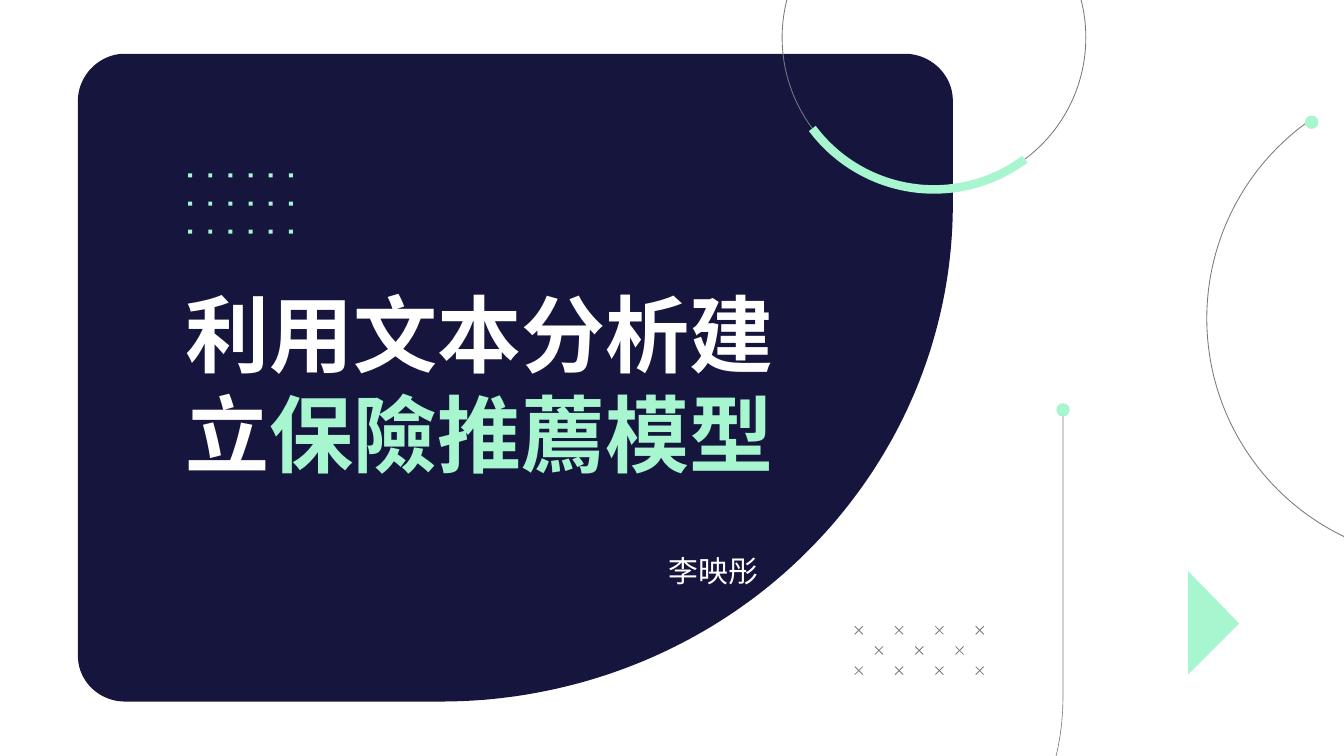
from itertools import product
from math import atan2, degrees

from lxml.etree import SubElement
from pptx import Presentation
from pptx.dml.color import RGBColor
from pptx.enum.shapes import MSO_CONNECTOR, MSO_SHAPE
from pptx.enum.text import MSO_ANCHOR, PP_ALIGN
from pptx.oxml.ns import qn
from pptx.util import Inches, Pt

COLORS = {"navy": "15153E", "mint": "A7F6CF", "gray": "7A7A7A", "white": "FFFFFF"}
FONT = "Noto Sans CJK SC"
HAIR = 0.44


def rgb(name):
    return RGBColor.from_string(COLORS[name])


def paint(sp, fill=None, line=None, width=HAIR):
    """Give a shape a plain fill or none, and a plain line or none."""
    sp.shadow.inherit = False
    if fill:
        sp.fill.solid()
        sp.fill.fore_color.rgb = rgb(fill)
    else:
        sp.fill.background()
    if line:
        sp.line.color.rgb = rgb(line)
        sp.line.width = Pt(width)
    else:
        sp.line.fill.background()


def curve(p0, p1, p2, p3, steps=48):
    """Points along a cubic curve, both ends included."""
    points = []
    for i in range(steps + 1):
        t = i / steps
        u = 1 - t
        points.append(tuple(
            u**3 * a + 3 * u * u * t * b + 3 * u * t * t * c + t**3 * d
            for a, b, c, d in zip(p0, p1, p2, p3)))
    return points


def add_outline(s, points, close=True, **style):
    emu = [(Inches(x), Inches(y)) for x, y in points]
    fb = s.shapes.build_freeform(*emu[0])
    fb.add_line_segments(emu[1:], close=close)
    paint(fb.convert_to_shape(), **style)


def add_preset(s, kind, x, y, w, h, **style):
    sp = s.shapes.add_shape(kind, Inches(x), Inches(y), Inches(w), Inches(h))
    paint(sp, **style)
    return sp


def add_dot(s, cx, cy, d=0.1):
    add_preset(s, MSO_SHAPE.OVAL, cx - d / 2, cy - d / 2, d, d, fill="mint")


def add_arc(s, center, r, start, end, **style):
    """Clockwise arc between the directions of two points."""
    cx, cy = center
    sp = add_preset(s, MSO_SHAPE.ARC, cx - r, cy - r, 2 * r, 2 * r, **style)
    for i, (x, y) in enumerate((start, end)):
        angle = degrees(atan2(y - cy, x - cx)) % 360
        sp.adjustments[i] = angle * 0.6  # 60000 units to the degree


def add_cross(s, x, y, size=0.06):
    for y1, y2 in ((y, y + size), (y + size, y)):
        c = s.shapes.add_connector(MSO_CONNECTOR.STRAIGHT, Inches(x), Inches(y1),
                                   Inches(x + size), Inches(y2))
        c.line.color.rgb = rgb("gray")
        c.line.width = Pt(HAIR)
        SubElement(c._element.spPr, qn("a:effectLst"))


def add_text(s, x, y, w, h, runs, size, bold=False, **para):
    """One paragraph of coloured runs, centred vertically in its box."""
    tf = s.shapes.add_textbox(Inches(x), Inches(y), Inches(w), Inches(h)).text_frame
    frame = {"word_wrap": True, "vertical_anchor": MSO_ANCHOR.MIDDLE}
    frame.update({f"margin_{side}": Inches(0.1)
                  for side in ("left", "top", "right", "bottom")})
    for key, value in frame.items():
        setattr(tf, key, value)
    p = tf.paragraphs[0]
    for key, value in para.items():
        setattr(p, key, value)
    for text, color in runs:
        r = p.add_run()
        r.text = text
        for key, value in {"name": FONT, "size": Pt(size), "bold": bold}.items():
            setattr(r.font, key, value)
        r.font.color.rgb = rgb(color)
        SubElement(r._r.get_or_add_rPr(), qn("a:ea"), typeface=FONT)


def add_card(s):
    """Navy card with three small corners and one sweeping one."""
    corners = [
        ((0.93, 0.4), (0.74, 0.4), (0.58, 0.56), (0.58, 0.75)),
        ((0.58, 4.88), (0.58, 5.07), (0.74, 5.22), (0.93, 5.22)),
        ((3.28, 5.22), (4.29, 5.22), (5.26, 4.83), (5.97, 4.14)),
        ((5.97, 4.14), (6.69, 3.44), (7.09, 2.5), (7.09, 1.52)),
        ((7.09, 0.75), (7.09, 0.56), (6.93, 0.4), (6.73, 0.4)),
    ]
    add_outline(s, [pt for c in corners for pt in curve(*c)], fill="navy")


def main():
    prs = Presentation()
    prs.slide_width, prs.slide_height = Inches(10), Inches(5.625)
    s = prs.slides.add_slide(prs.slide_layouts[6])

    # Card and triangle
    add_card(s)
    add_outline(s, [(8.84, 4.25), (9.22, 4.64), (8.84, 5.02)], fill="mint")

    # Crosses in staggered rows, then the grid of small squares
    for row, count in enumerate((4, 3, 4)):
        for col in range(count):
            add_cross(s, 6.36 + 0.3 * col + 0.15 * (row % 2), 4.66 + 0.15 * row)
    for row, col in product(range(3), range(6)):
        add_preset(s, MSO_SHAPE.RECTANGLE, 1.4 + 0.15 * col, 1.29 + 0.21 * row,
                   0.03, 0.03, fill="mint")

    # Line that bends away at the bottom
    bend = curve((7.91, 5.19), (7.91, 6.72), (6.04, 7.96), (3.73, 7.96))
    add_outline(s, [(7.91, 3.05), *bend, (2.41, 7.96)],
                close=False, line="gray", width=0.35)
    add_dot(s, 7.91, 3.05)

    # Top circle with its thick mint part
    top, left, right = (6.95, 0.28), (6.04, 0.96), (7.63, 1.19)
    add_arc(s, top, 1.13, left, right, line="gray")
    add_arc(s, top, 1.13, right, left, line="mint", width=4.6)

    # Right circle
    add_arc(s, (10.78, 2.37), 1.8, (12.22, 1.3), (9.72, 0.93), line="gray")
    add_dot(s, 9.76, 0.91)

    # Title and author
    add_text(s, 1.28, 1.99, 4.67, 1.72,
             [("利用文本分析建立", "white"), ("保險推薦模型", "mint")], 45, bold=True,
             space_before=Pt(11), space_after=Pt(2), line_spacing=Pt(53.5))
    add_text(s, 3.03, 4.02, 2.71, 0.45, [("李映彤", "white")], 16,
             alignment=PP_ALIGN.RIGHT)

    prs.save("out.pptx")


if __name__ == "__main__":
    main()
